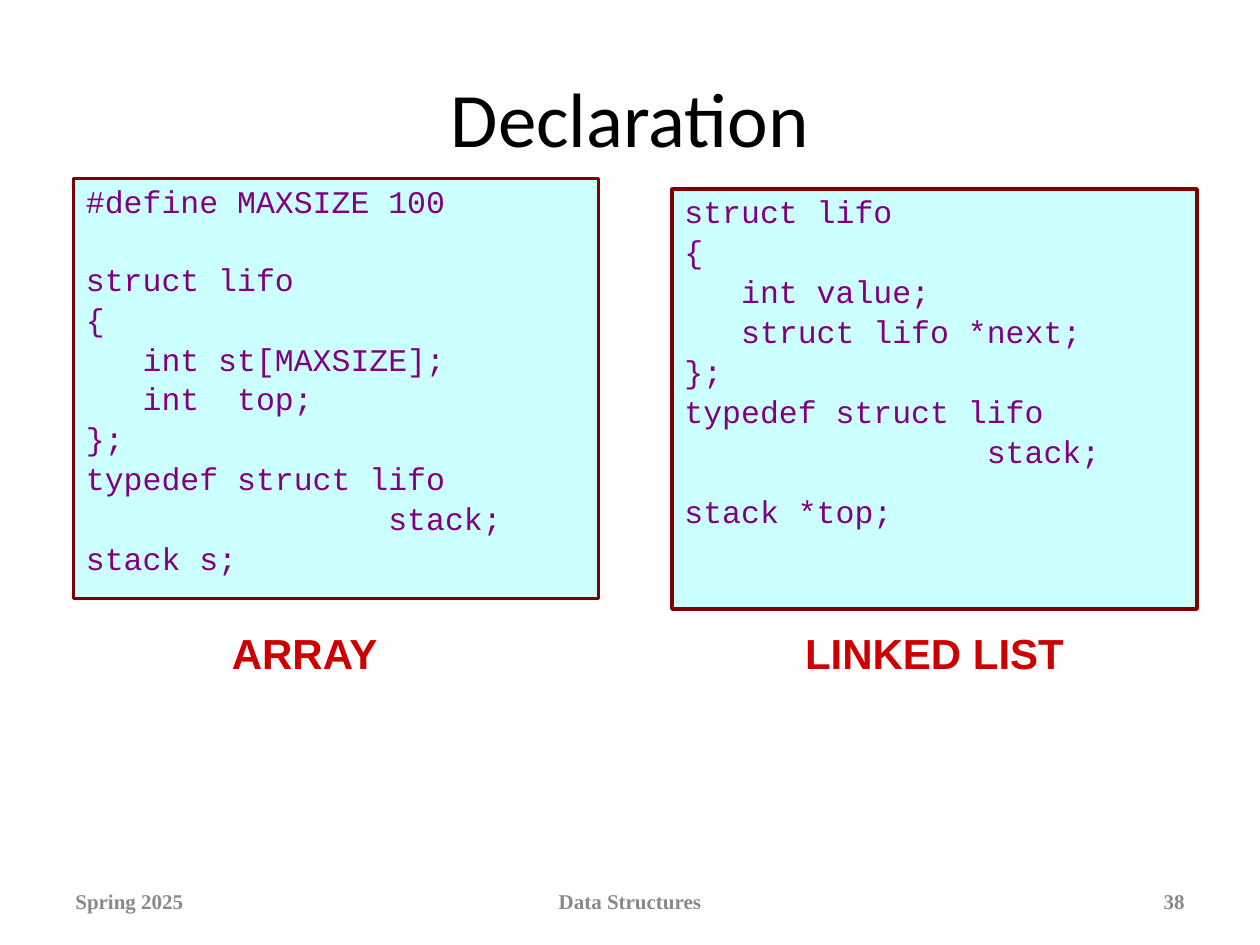
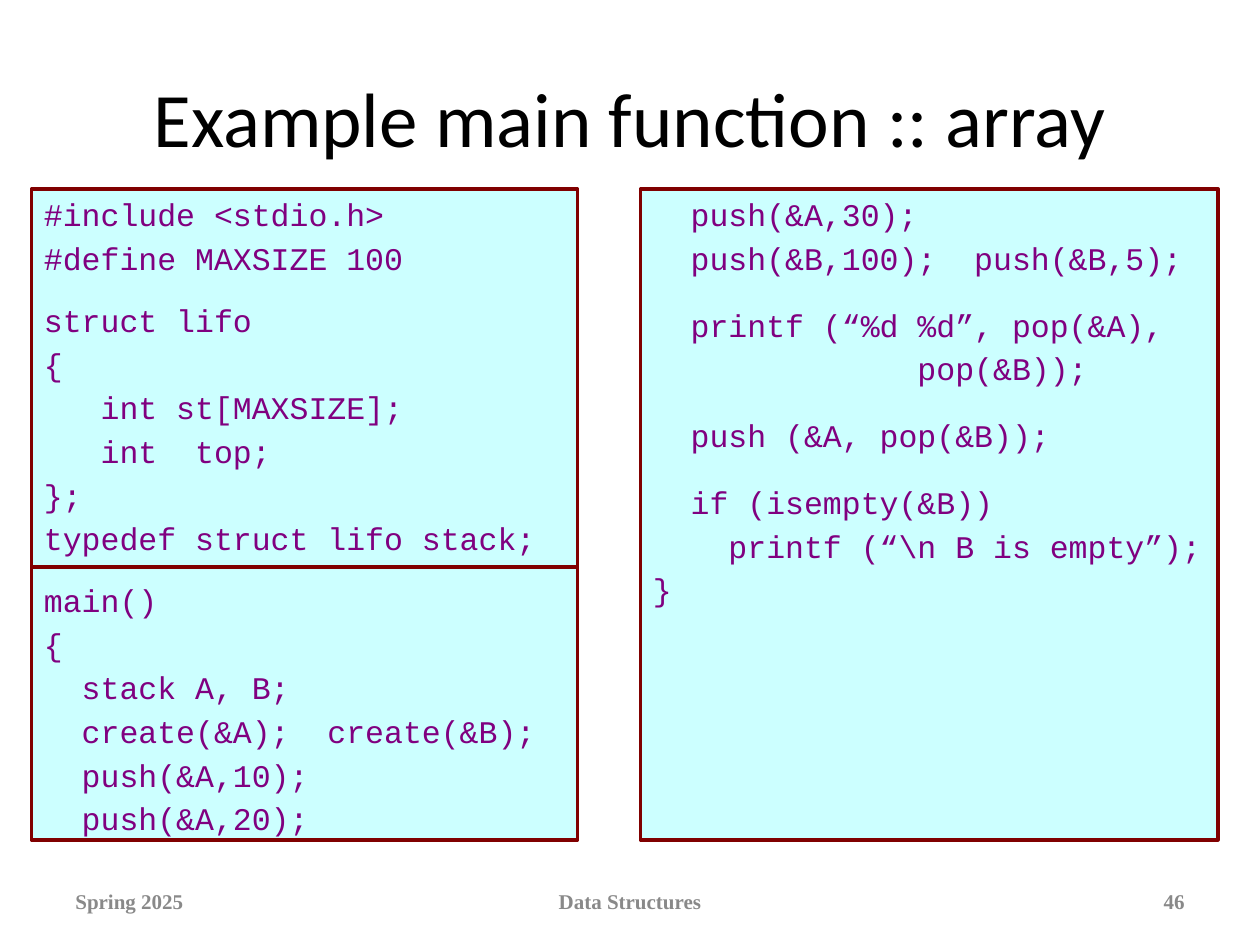
from dataclasses import dataclass

from lxml import etree
from pptx import Presentation
from pptx.dml.color import RGBColor
from pptx.enum import shapes, text
from pptx.oxml import ns
from pptx.util import Pt

LEFT, CENTER, RIGHT = text.PP_ALIGN.LEFT, text.PP_ALIGN.CENTER, text.PP_ALIGN.RIGHT
MIDDLE, TOP = text.MSO_ANCHOR.MIDDLE, text.MSO_ANCHOR.TOP


@dataclass(frozen=True)
class TextStyle:
    face: str
    size: float
    color: str
    bold: bool = False


@dataclass(frozen=True)
class Theme:
    panel: str = "CCFFFF"
    border: str = "800000"
    title: TextStyle = TextStyle("Calibri", 44, "000000")
    code: TextStyle = TextStyle("Courier New", 18, "800080")
    caption: TextStyle = TextStyle("Arial", 24, "CC0000", True)
    footer: TextStyle = TextStyle("Times New Roman", 12, "898989", True)
    line_gap: float = 5.5


THEME = Theme()

# Code listings: blocks of lines, parted by a gap
ARRAY_DECLARATION = [
    """#define MAXSIZE 100""",
    """struct lifo
{
   int st[MAXSIZE];
   int  top;
};
typedef struct lifo
                stack;
stack s;""",
]
LIST_DECLARATION = [
    """struct lifo
{
   int value;
   struct lifo *next;
};
typedef struct lifo
                stack;""",
    """stack *top;""",
]
MAIN_START = [
    """#include <stdio.h>
#define MAXSIZE 100""",
    """struct lifo
{
   int st[MAXSIZE];
   int  top;
};
typedef struct lifo stack;""",
    """main()
{
  stack A, B;
  create(&A);  create(&B);
  push(&A,10);
  push(&A,20);""",
]
MAIN_END = [
    """  push(&A,30);
  push(&B,100);  push(&B,5);""",
    """  printf (“%d %d”, pop(&A),
              pop(&B));""",
    """  push (&A, pop(&B));""",
    r"""  if (isempty(&B))
    printf (“\n B is empty”);
}""",
]


def style_paragraph(paragraph, style, align=LEFT):
    paragraph.alignment = align
    for run in paragraph.runs:
        run.font.name = style.face
        run.font.size = Pt(style.size)
        run.font.bold = style.bold
        run.font.color.rgb = RGBColor.from_string(style.color)


def add_label(slide, wording, box, style, align=CENTER, anchor=MIDDLE):
    frame = slide.shapes.add_textbox(*map(Pt, box)).text_frame
    frame.word_wrap = True
    frame.vertical_anchor = anchor
    frame.text = wording
    style_paragraph(frame.paragraphs[0], style, align)


def add_code_panel(slide, blocks, box, spacing, block_gap):
    panel = slide.shapes.add_shape(shapes.MSO_SHAPE.RECTANGLE, *map(Pt, box))
    panel.shadow.inherit = False
    panel.fill.solid()
    panel.fill.fore_color.rgb = RGBColor.from_string(THEME.panel)
    panel.line.color.rgb = RGBColor.from_string(THEME.border)
    panel.line.width = Pt(2)

    frame = panel.text_frame
    frame.word_wrap = True
    frame.vertical_anchor = TOP
    frame.margin_top, frame.margin_right = Pt(6), Pt(0)
    frame.text = "\n".join(blocks)
    block_starts, line_count = set(), 0
    for block in blocks:
        block_starts.add(line_count)
        line_count += len(block.splitlines())
    for index, line in enumerate(frame.paragraphs):
        line.line_spacing = spacing
        if index:
            extra = block_gap if index in block_starts else 0
            line.space_before = Pt(THEME.line_gap + extra)
        style_paragraph(line, THEME.code)


def add_divider(slide, left, right, y):
    divider = slide.shapes.add_connector(
        shapes.MSO_CONNECTOR.STRAIGHT, Pt(left), Pt(y), Pt(right), Pt(y))
    divider.line.color.rgb = RGBColor.from_string(THEME.border)
    divider.line.width = Pt(2.5)
    etree.SubElement(divider._element.spPr, ns.qn("a:effectLst"))


def add_page(deck, heading, number):
    """Add a slide with the shared title and footer."""
    slide = deck.slides.add_slide(deck.slide_layouts[6])
    add_label(slide, heading, (36, 21.6, 648, 90), THEME.title)
    for wording, left, width, align in (
        ("Spring 2025", 36, 168, LEFT),
        ("Data Structures", 246, 228, CENTER),
        (str(number), 516, 168, RIGHT),
    ):
        add_label(slide, wording, (left, 500.4, width, 28.8), THEME.footer, align)
    return slide


def main():
    deck = Presentation()
    deck.slide_width, deck.slide_height = Pt(720), Pt(540)

    # Declarations side by side
    declaration = add_page(deck, "Declaration", 38)
    add_code_panel(declaration, ARRAY_DECLARATION, (42, 102, 300, 240), 0.8, 21.8)
    add_code_panel(declaration, LIST_DECLARATION, (384, 108, 300, 240), 0.8, 12)
    add_label(declaration, "ARRAY", (108, 355, 132, 36), THEME.caption, anchor=TOP)
    add_label(declaration, "LINKED LIST", (420, 355, 228, 36), THEME.caption, anchor=TOP)

    # Main function in two columns
    example = add_page(deck, "Example main function :: array", 46)
    add_code_panel(example, MAIN_START, (18, 108, 312, 372), 0.9, 10.5)
    add_code_panel(example, MAIN_END, (366, 108, 330, 372), 0.9, 13.2)
    add_divider(example, 18, 330, 324)

    deck.save("out.pptx")


if __name__ == "__main__":
    main()
